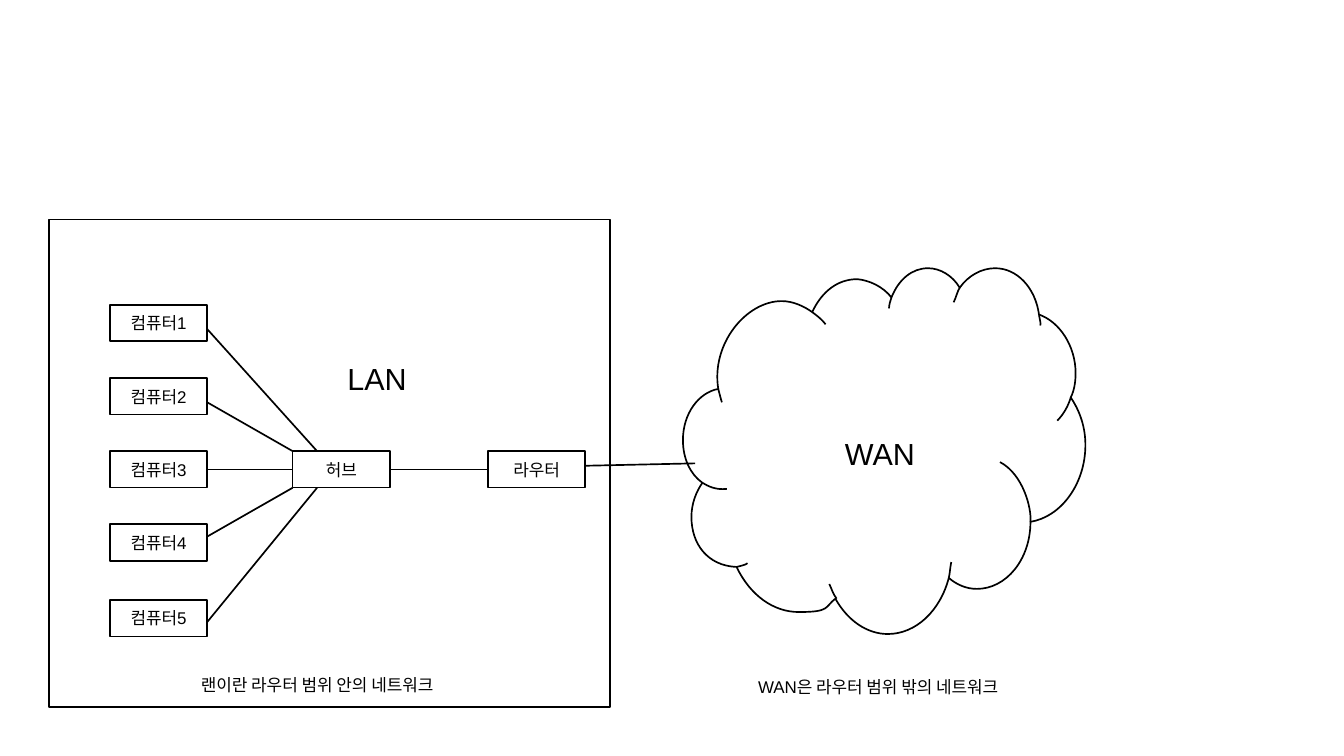
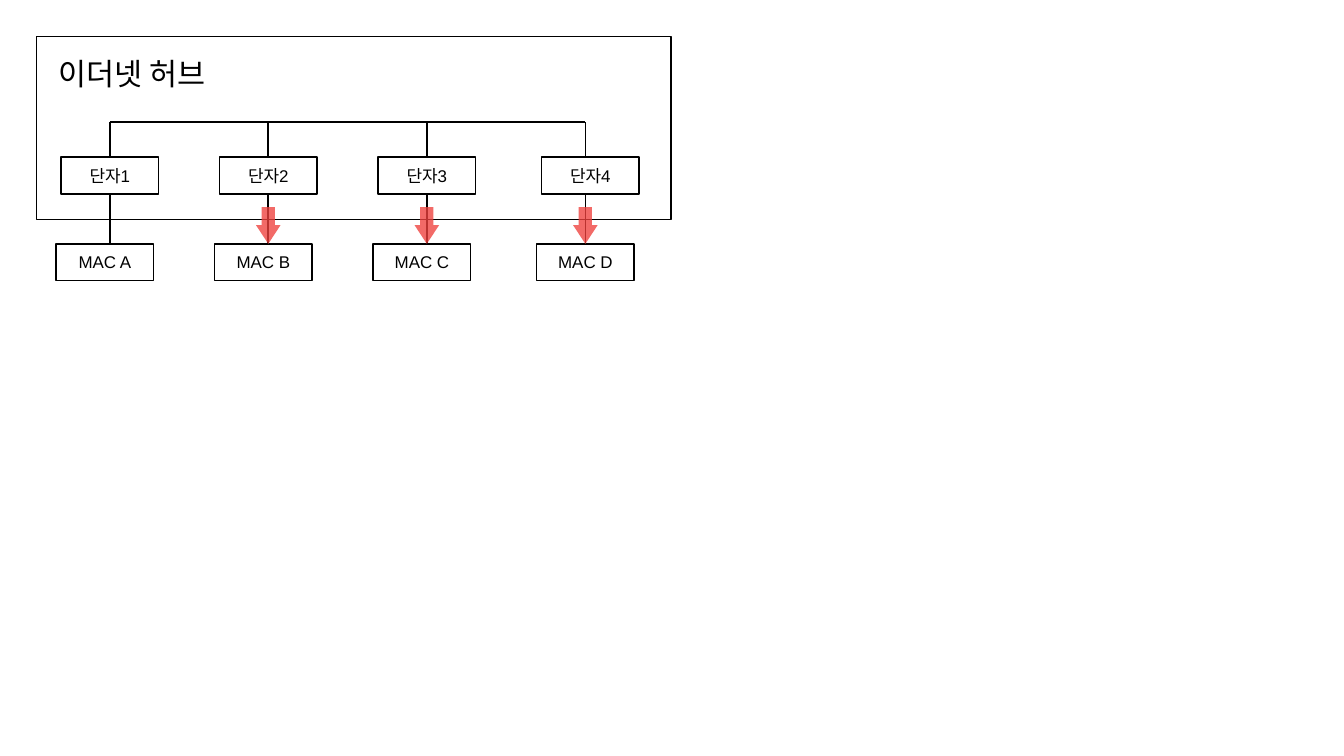
from dataclasses import dataclass

from lxml import etree
from pptx import Presentation
from pptx.dml.color import RGBColor
from pptx.enum.shapes import MSO_CONNECTOR, MSO_SHAPE
from pptx.enum.text import MSO_ANCHOR, MSO_AUTO_SIZE, PP_ALIGN
from pptx.oxml.ns import qn
from pptx.util import Inches, Pt

RECTANGLE, DOWN_ARROW = MSO_SHAPE.RECTANGLE, MSO_SHAPE.DOWN_ARROW
STRAIGHT = MSO_CONNECTOR.STRAIGHT
MIDDLE, FIT = MSO_ANCHOR.MIDDLE, MSO_AUTO_SIZE.SHAPE_TO_FIT_TEXT
LEFT, CENTER = PP_ALIGN.LEFT, PP_ALIGN.CENTER
TOP_SIDE, LEFT_SIDE, BOTTOM_SIDE, RIGHT_SIDE = range(4)


@dataclass(frozen=True)
class Theme:
    ink: RGBColor = RGBColor(0x00, 0x00, 0x00)
    paper: RGBColor = RGBColor(0xFF, 0xFF, 0xFF)
    signal: RGBColor = RGBColor(0xEF, 0x41, 0x3D)
    signal_alpha: int = 78000
    font: str = "Arial"
    body: Pt = Pt(10)
    heading: Pt = Pt(18)
    stroke: Pt = Pt(1)


THEME = Theme()
NODE_WIDTH, NODE_HEIGHT = 0.8, 0.3


def add_label(slide, bounds, label="", size=THEME.body, align=CENTER, boxed=False):
    area = [Inches(value) for value in bounds]
    if boxed:
        holder = slide.shapes.add_shape(RECTANGLE, *area)
        holder.shadow.inherit = False
        holder.line.color.rgb = THEME.ink
        holder.line.width = THEME.stroke
        if not label:
            holder.fill.background()
            return holder
        holder.fill.solid()
        holder.fill.fore_color.rgb = THEME.paper
    else:
        holder = slide.shapes.add_textbox(*area)
    frame = holder.text_frame
    frame.word_wrap = not boxed
    if boxed:
        frame.vertical_anchor = MIDDLE
        frame.margin_left = frame.margin_right = Inches(0.11)
        frame.margin_top = frame.margin_bottom = Inches(0.06)
    else:
        frame.auto_size = FIT
    paragraph = frame.paragraphs[0]
    paragraph.alignment = align
    run = paragraph.add_run()
    run.text = label
    run.font.name = THEME.font
    run.font.size = size
    run.font.color.rgb = THEME.ink
    return holder


def add_wire(slide, start, end, source=None, target=None):
    wire = slide.shapes.add_connector(STRAIGHT, *[Inches(value) for value in (*start, *end)])
    wire.line.color.rgb = THEME.ink
    wire.line.width = THEME.stroke
    etree.SubElement(wire._element.spPr, qn("a:effectLst"))
    if source:
        wire.begin_connect(*source)
    if target:
        wire.end_connect(*target)


deck = Presentation()
deck.slide_width, deck.slide_height = Inches(11.02), Inches(6.2)
blank = deck.slide_layouts[6]

network = deck.slides.add_slide(blank)
add_label(network, (0.4, 1.8, 4.6, 4), boxed=True)
router = add_label(network, (4, 3.7, NODE_WIDTH, NODE_HEIGHT), "라우터", boxed=True)
hub = add_label(network, (2.4, 3.7, NODE_WIDTH, NODE_HEIGHT), "허브", boxed=True)

computers = [
    (2.5, 2.7, (2.6, 3.7)),
    (3.1, 3.3, (2.4, 3.7)),
    (3.7, 3.85, (2.4, 3.85)),
    (4.3, 4.4, (2.4, 4)),
    (4.92, 5.1, (2.6, 4)),
]
for number, (top, wire_y, hub_point) in enumerate(computers, 1):
    computer = add_label(network, (0.9, top, NODE_WIDTH, NODE_HEIGHT), f"컴퓨터{number}", boxed=True)
    level = hub_point[1] == wire_y
    add_wire(
        network, (1.7, wire_y), hub_point,
        (computer, RIGHT_SIDE) if level else None,
        (hub, LEFT_SIDE) if level else None,
    )
add_wire(network, (3.2, 3.85), (4, 3.85), (hub, RIGHT_SIDE), (router, LEFT_SIDE))
add_label(network, (0.6, 5.48, 4, 0.3), "랜이란 라우터 범위 안의 네트워크")

cloud_curves = [
    [
        (5.89, 3.19), (5.83, 2.82), (6.12, 2.47), (6.41, 2.47),
        (6.5, 2.47), (6.59, 2.51), (6.66, 2.56), (6.74, 2.39), (6.87, 2.29), (7.03, 2.29),
        (7.13, 2.3), (7.24, 2.35), (7.31, 2.44), (7.37, 2.29), (7.48, 2.2), (7.61, 2.2),
        (7.71, 2.2), (7.81, 2.26), (7.87, 2.36), (7.94, 2.26), (8.05, 2.2), (8.16, 2.2),
        (8.34, 2.2), (8.49, 2.36), (8.52, 2.58), (8.69, 2.64), (8.82, 2.84), (8.82, 3.06),
        (8.82, 3.13), (8.81, 3.2), (8.78, 3.26), (8.86, 3.38), (8.9, 3.51), (8.9, 3.65),
        (8.9, 3.97), (8.7, 4.24), (8.45, 4.28), (8.45, 4.59), (8.25, 4.83), (8.01, 4.83),
        (7.93, 4.83), (7.85, 4.8), (7.78, 4.74), (7.71, 5.01), (7.51, 5.2), (7.28, 5.2),
        (7.11, 5.2), (6.95, 5.09), (6.85, 4.91), (6.76, 4.98), (6.81, 5.02), (6.55, 5.02),
        (6.34, 5.02), (6.15, 4.88), (6.04, 4.65), (5.8, 4.64), (5.67, 4.46), (5.67, 4.24),
        (5.67, 4.13), (5.71, 4.03), (5.76, 3.96), (5.66, 3.89), (5.6, 3.76), (5.6, 3.61),
        (5.6, 3.39), (5.73, 3.22), (5.89, 3.19),
    ],
    [(5.89, 3.19), (5.9, 3.23), (5.91, 3.27), (5.92, 3.3)],
    [(6.66, 2.56), (6.7, 2.59), (6.74, 2.62), (6.77, 2.66)],
    [(7.31, 2.44), (7.3, 2.47), (7.29, 2.5), (7.29, 2.53)],
    [(7.87, 2.36), (7.85, 2.39), (7.84, 2.44), (7.82, 2.48)],
    [(8.52, 2.58), (8.52, 2.6), (8.54, 2.66), (8.53, 2.67)],
    [(8.78, 3.26), (8.76, 3.33), (8.72, 3.4), (8.67, 3.45)],
    [(8.45, 4.28), (8.46, 4.17), (8.39, 3.89), (8.2, 3.79)],
    [(7.78, 4.74), (7.79, 4.7), (7.79, 4.66), (7.8, 4.61)],
    [(6.86, 4.91), (6.83, 4.87), (6.82, 4.83), (6.8, 4.79)],
    [(6.04, 4.65), (6.07, 4.64), (6.1, 4.64), (6.13, 4.62)],
    [(5.76, 3.96), (5.81, 3.99), (5.87, 4.02), (5.96, 4.01)],
]
cloud_builder = network.shapes.build_freeform(*[Inches(value) for value in cloud_curves[0][0]])
for index, curve in enumerate(cloud_curves):
    start, *controls = [(Inches(x), Inches(y)) for x, y in curve]
    if index:
        cloud_builder.move_to(*start)
    cloud_builder.add_line_segments(controls, close=index == 0)
cloud = cloud_builder.convert_to_shape()
cloud.shadow.inherit = False
cloud.fill.background()
cloud.line.color.rgb = THEME.ink
cloud.line.width = THEME.stroke

segments = list(cloud._element.spPr.iter(qn("a:lnTo")))
for first in range(0, len(segments), 3):
    bezier = etree.Element(qn("a:cubicBezTo"))
    segments[first].addprevious(bezier)
    for segment in segments[first:first + 3]:
        bezier.append(segment[0])
        segment.getparent().remove(segment)

add_label(network, (5.2, 5.5, 4, 0.3), "WAN은 라우터 범위 밖의 네트워크")
add_label(network, (6.83, 3.52, 0.9, 0.38), "WAN", THEME.heading, LEFT)
add_label(network, (2.75, 2.9, 0.9, 0.38), "LAN", THEME.heading, LEFT)
add_wire(network, (4.8, 3.82), (5.7, 3.8))

ethernet = deck.slides.add_slide(blank)
add_label(ethernet, (0.3, 0.3, 5.2, 1.5), boxed=True)
add_label(ethernet, (0.38, 0.4, 1.42, 0.46), "이더넷 허브", THEME.heading, LEFT)

BUS_Y, PORT_Y, MAC_Y = 1, 1.29, 2
PORT_BOTTOM = PORT_Y + NODE_HEIGHT
wire_xs = [0.9 + 1.3 * index for index in range(4)]
add_wire(ethernet, (wire_xs[0], BUS_Y), (wire_xs[-1], BUS_Y))
for number, (wire_x, port_x) in enumerate(zip(wire_xs, (0.5, 1.8, 3.1, 4.44)), 1):
    port = add_label(ethernet, (port_x, PORT_Y, NODE_WIDTH, NODE_HEIGHT), f"단자{number}", boxed=True)
    add_label(
        ethernet, (port_x - 0.04, MAC_Y, NODE_WIDTH, NODE_HEIGHT),
        f"MAC {'ABCD'[number - 1]}", boxed=True,
    )
    centred = abs(port_x + NODE_WIDTH / 2 - wire_x) < 0.01
    add_wire(ethernet, (wire_x, PORT_Y), (wire_x, BUS_Y), (port, TOP_SIDE) if centred else None)
    add_wire(ethernet, (wire_x, PORT_BOTTOM), (wire_x, MAC_Y), (port, BOTTOM_SIDE) if centred else None)

for wire_x in wire_xs[1:]:
    signal = ethernet.shapes.add_shape(
        DOWN_ARROW, Inches(wire_x - 0.1), Inches(1.7), Inches(0.2), Inches(0.3)
    )
    signal.shadow.inherit = False
    signal.adjustments[0], signal.adjustments[1] = 0.54, 0.76
    signal.line.fill.background()
    signal.fill.solid()
    signal.fill.fore_color.rgb = THEME.signal
    tint = signal._element.spPr.find(qn("a:solidFill")).find(qn("a:srgbClr"))
    etree.SubElement(tint, qn("a:alpha"), val=str(THEME.signal_alpha))

deck.save("out.pptx")
